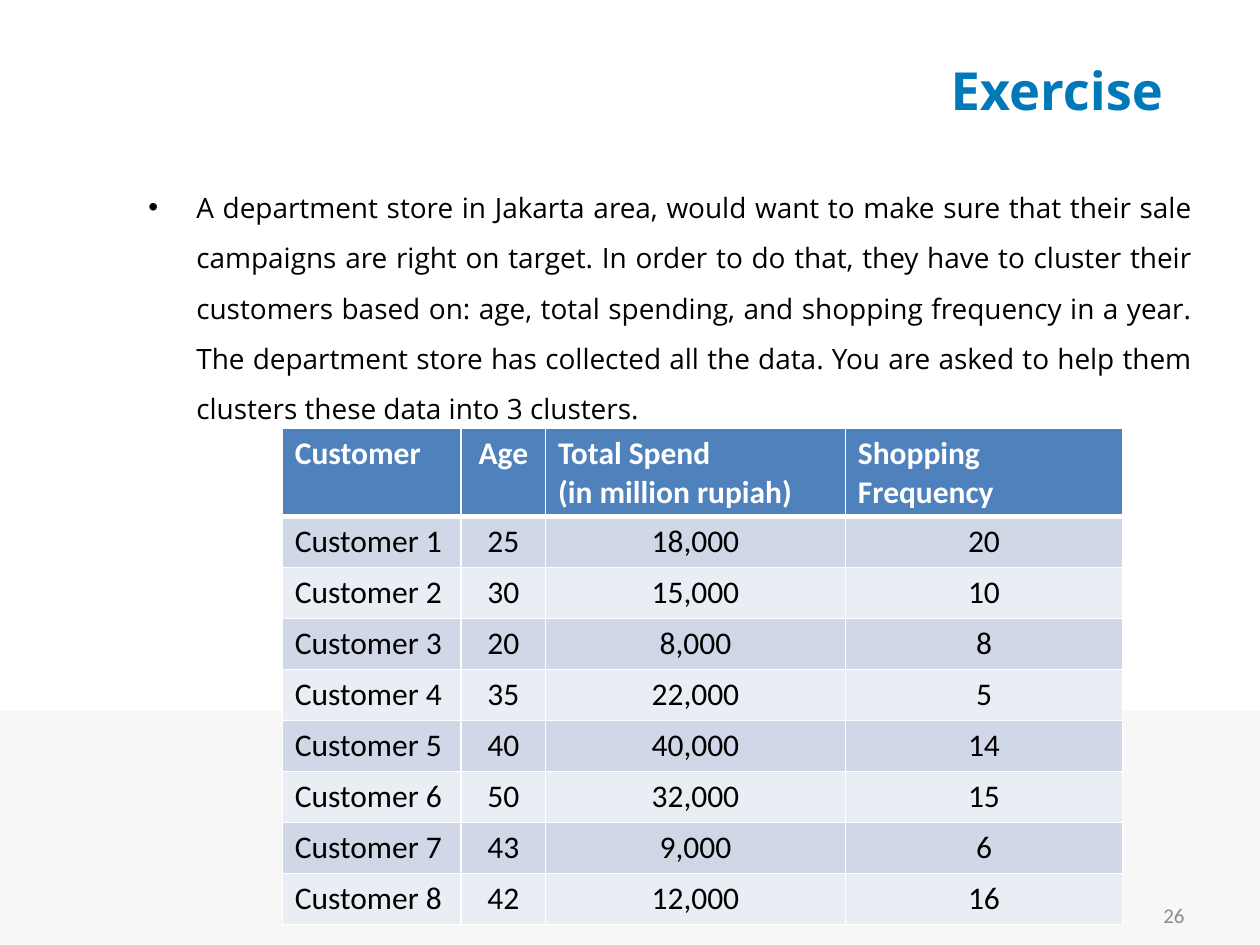
from lxml import etree
from pptx import Presentation
from pptx import util as u
from pptx.dml.color import RGBColor
from pptx.enum import shapes, text
from pptx.oxml import ns

COLORS = {"band": "F7F7F7", "title": "0079B8", "number": "8C8C8C",
          "black": "000000", "white": "FFFFFF", "header": "4F81BD",
          "odd": "D0D8E8", "even": "E9EDF4"}
BODY = ("A department store in Jakarta area, would want to make sure that their "
        "sale campaigns are right on target. In order to do that, they have to "
        "cluster their customers based on: age, total spending, and shopping "
        "frequency in a year. The department store has collected all the data. "
        "You are asked to help them clusters these data into 3 clusters.")
HEADER = ("Customer", "Age", "Total Spend\n(in million rupiah)", "Shopping Frequency")
CUSTOMERS = ((25, 18000, 20), (30, 15000, 10), (20, 8000, 8), (35, 22000, 5),
             (40, 40000, 14), (50, 32000, 15), (43, 9000, 6), (42, 12000, 16))
COLUMN_WIDTHS = (1.42, 0.67, 2.38, 2.2)
HEADER_HEIGHT, TABLE_HEIGHT = 0.7, 3.94


def color(name):
    return RGBColor.from_string(COLORS[name])


def set_font(paragraph, name, size, color_name, bold=False):
    font = paragraph.font
    font.name, font.size, font.bold = name, u.Pt(size), bold
    font.color.rgb = color(color_name)


def add_band(slide):
    band = slide.shapes.add_shape(shapes.MSO_SHAPE.RECTANGLE, u.Inches(0),
                                  u.Inches(5.64), u.Inches(10), u.Inches(1.86))
    band.shadow.inherit = False
    band.fill.solid()
    band.fill.fore_color.rgb = color("band")
    band.line.fill.background()


def add_text(slide, box, content, alignment, anchor, **font):
    """Add a one-paragraph text box and return the paragraph."""
    frame = slide.shapes.add_textbox(*map(u.Inches, box)).text_frame
    frame.word_wrap = True
    frame.vertical_anchor = anchor
    paragraph = frame.paragraphs[0]
    paragraph.text = content
    paragraph.alignment = alignment
    set_font(paragraph, **font)
    return paragraph


def add_bullet(paragraph, indent):
    properties = paragraph._p.get_or_add_pPr()
    properties.set("marL", str(u.Inches(indent)))
    properties.set("indent", str(-u.Inches(indent)))
    bullet_font = etree.Element(ns.qn("a:buFont"), typeface="Arial")
    bullet = etree.Element(ns.qn("a:buChar"), char="•")
    default_font = properties.find(ns.qn("a:defRPr"))
    default_font.addprevious(bullet_font)
    default_font.addprevious(bullet)


def set_borders(cell, bottom):
    """Draw white cell borders, 1 pt wide except for the bottom one."""
    properties = cell._tc.get_or_add_tcPr()
    widths = {"lnL": 1, "lnR": 1, "lnT": 1, "lnB": bottom}
    for position, (side, width) in enumerate(widths.items()):
        line = etree.Element(ns.qn(f"a:{side}"), w=str(u.Pt(width)))
        fill = etree.SubElement(line, ns.qn("a:solidFill"))
        etree.SubElement(fill, ns.qn("a:srgbClr"), val=COLORS["white"])
        properties.insert(position, line)


def fill_cell(cell, content, fill, centered, is_header):
    cell.text = content
    cell.fill.solid()
    cell.fill.fore_color.rgb = color(fill)
    for paragraph in cell.text_frame.paragraphs:
        set_font(paragraph, "Calibri", 18, "white" if is_header else "black", is_header)
        paragraph.alignment = text.PP_ALIGN.CENTER if centered else text.PP_ALIGN.LEFT
    set_borders(cell, 3 if is_header else 1)


def add_customer_table(slide):
    rows = [HEADER] + [(f"Customer {number}", *(f"{value:,}" for value in values))
                       for number, values in enumerate(CUSTOMERS, 1)]
    table = slide.shapes.add_table(
        len(rows), len(HEADER), u.Inches(2.24), u.Inches(3.4),
        u.Inches(sum(COLUMN_WIDTHS)), u.Inches(TABLE_HEIGHT)).table
    for column, width in zip(table.columns, COLUMN_WIDTHS):
        column.width = u.Inches(width)
    row_height = (TABLE_HEIGHT - HEADER_HEIGHT) / len(CUSTOMERS)
    for row_index, row in enumerate(rows):
        is_header = row_index == 0
        table.rows[row_index].height = u.Inches(HEADER_HEIGHT if is_header else row_height)
        fill = "header" if is_header else ("even", "odd")[row_index % 2]
        for column_index, content in enumerate(row):
            centered = column_index == 1 or (column_index > 1 and not is_header)
            fill_cell(table.cell(row_index, column_index), content, fill,
                      centered, is_header)


def main():
    presentation = Presentation()
    presentation.slide_width, presentation.slide_height = u.Inches(10), u.Inches(7.5)
    slide = presentation.slides.add_slide(presentation.slide_layouts[6])
    align, anchor = text.PP_ALIGN, text.MSO_ANCHOR
    add_band(slide)
    add_text(slide, (3.83, 0.36, 5.5, 0.7), "Exercise", align.RIGHT, anchor.MIDDLE,
             name="Open Sans", size=30, color_name="title", bold=True)
    add_text(slide, (7.17, 7.06, 2.33, 0.4), "26", align.RIGHT, anchor.MIDDLE,
             name="Calibri", size=12, color_name="number")
    body = add_text(slide, (1.08, 1.33, 8.48, 5.74), BODY, align.JUSTIFY, anchor.TOP,
                    name="Open Sans", size=16, color_name="black")
    body.line_spacing = 1.5
    body.space_before = u.Pt(3.2)
    add_bullet(body, 0.38)
    add_customer_table(slide)
    presentation.save("out.pptx")


if __name__ == "__main__":
    main()
